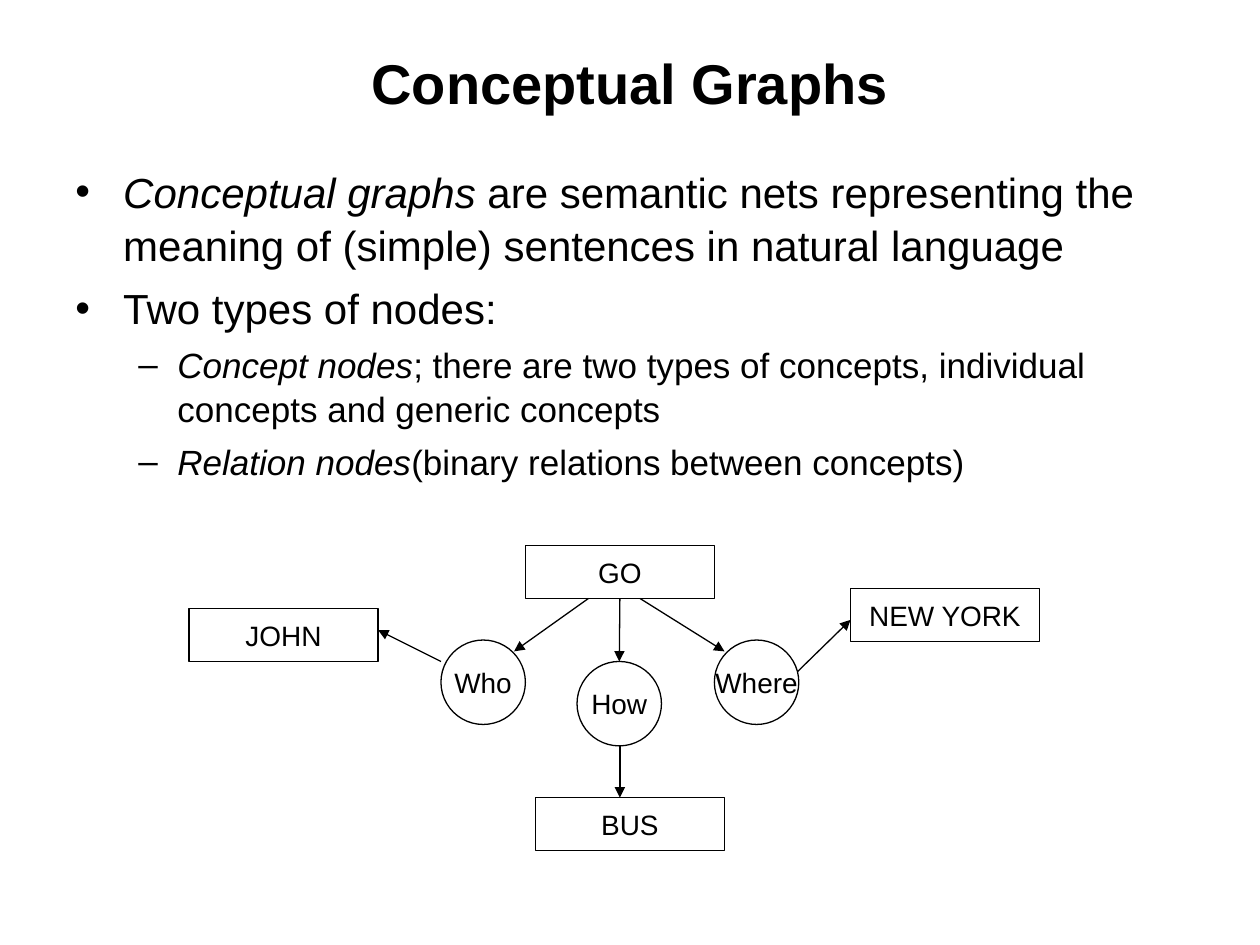
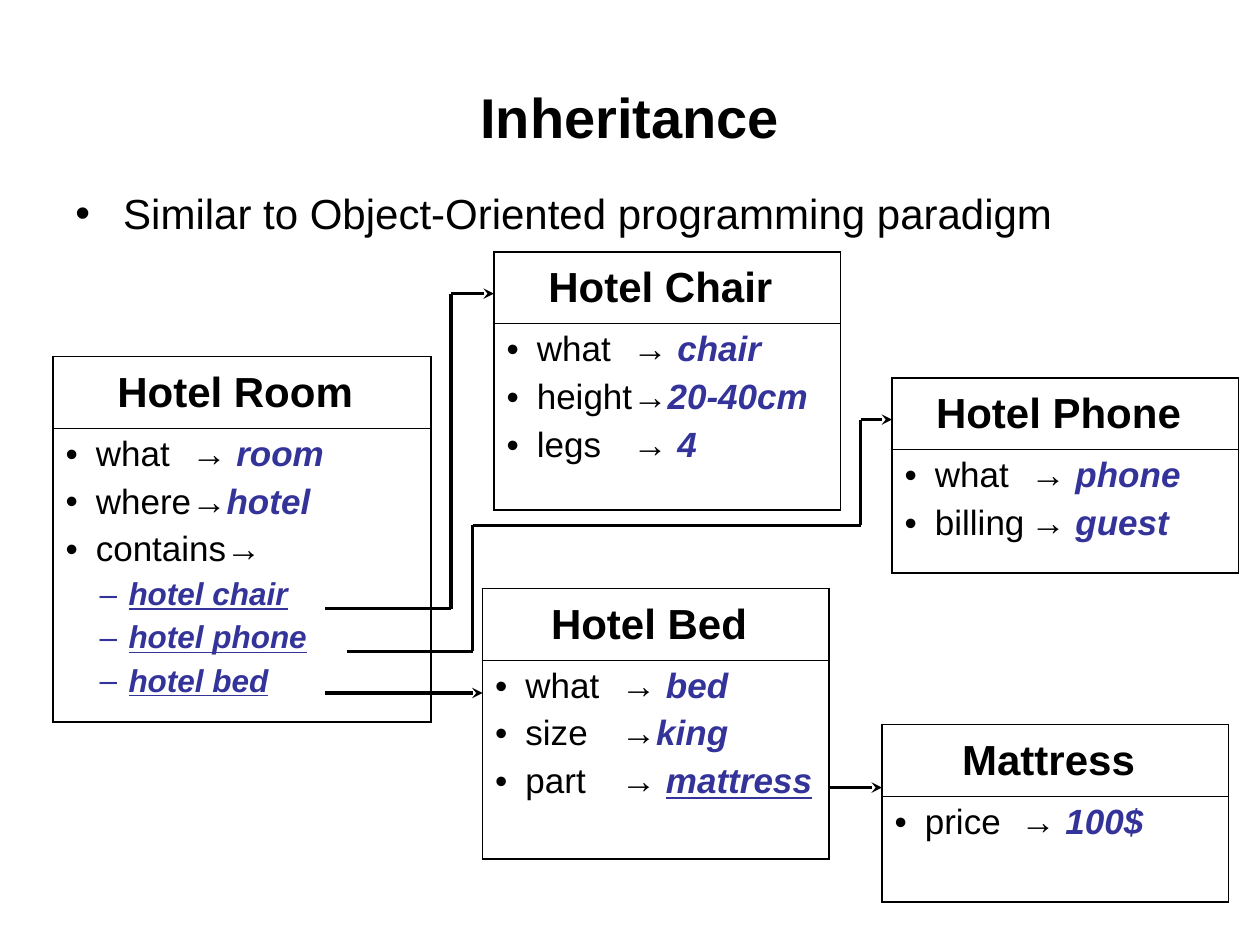
from lxml import etree
from pptx import Presentation
from pptx.dml.color import RGBColor
from pptx.enum.shapes import MSO_CONNECTOR, MSO_SHAPE
from pptx.enum.text import MSO_ANCHOR, PP_ALIGN
from pptx.oxml.ns import qn
from pptx.util import Inches, Pt

BLACK = RGBColor(0x00, 0x00, 0x00)
BLUE = RGBColor(0x33, 0x33, 0x99)
FONT = "Arial"
MIDDLE, TOP = MSO_ANCHOR.MIDDLE, MSO_ANCHOR.TOP
CENTER, LEFT = PP_ALIGN.CENTER, PP_ALIGN.LEFT
RECT, OVAL = MSO_SHAPE.RECTANGLE, MSO_SHAPE.OVAL
STRAIGHT = MSO_CONNECTOR.STRAIGHT

# Each paragraph is (level, runs); run marks are b, i, u and v (value colour).
GRAPHS = [
    (0, [("Conceptual graphs ", "i"),
         ("are semantic nets representing the meaning of (simple) "
          "sentences in natural language", "")]),
    (0, [("Two types of nodes:", "")]),
    (1, [("Concept nodes", "i"),
         ("; there are two types of concepts, individual concepts "
          "and generic concepts", "")]),
    (1, [("Relation nodes", "i"),
         ("(binary relations between concepts)", "")]),
]
PARADIGM = [(0, [("Similar to Object-Oriented programming paradigm", "")])]

CONCEPTS = [("GO", 4.17, 4.33), ("BUS", 4.25, 6.33),
            ("NEW YORK", 6.75, 4.67), ("JOHN", 1.5, 4.83)]
LINKS = [("Who", 3.5, 5.08), ("How", 4.58, 5.25), ("Where", 5.67, 5.08)]
ARROWS = [
    [(5.08, 4.75), (5.75, 5.17)],
    [(4.67, 4.75), (4.08, 5.17)],
    [(4.92, 5.92), (4.92, 6.33)],
    [(6.33, 5.33), (6.75, 4.92)],
    [(3.5, 5.25), (3, 5)],
]

FRAMES = [
    ("Hotel Room", 0.42, 2.83, 3, 2.33,
     [("what", "→ ", "room"), ("where", "→", "hotel"), ("contains→", "", "")],
     ["hotel chair", "hotel phone", "hotel bed"]),
    ("Hotel Chair", 3.92, 2, 2.75, 1.48,
     [("what", "→ ", "chair"), ("height", "→", "20-40cm"),
      ("legs", "→ ", "4")], []),
    ("Hotel Phone", 7.08, 3, 2.75, 0.98,
     [("what", "→ ", "phone"), ("billing", "→ ", "guest")], []),
    ("Hotel Bed", 3.83, 4.67, 2.75, 1.58,
     [("what", "→ ", "bed"), ("size", "→", "king"),
      ("part", "→ ", "mattress")], []),
    ("Mattress", 7, 5.75, 2.75, 0.84, [("price", "→ ", "100$")], []),
]
LINKED = {"mattress"}
PATHS = [
    [(2.58, 4.83), (3.58, 4.83), (3.58, 2.33), (3.92, 2.33)],
    [(2.75, 5.17), (3.75, 5.17), (3.75, 4.17), (6.83, 4.17),
     (6.83, 3.33), (7.08, 3.33)],
    [(2.58, 5.5), (3.83, 5.5)],
    [(6.58, 6.25), (7, 6.25)],
]

HEAD = 0.57
BODY = {"sizes": (24, 20), "gaps": (6, 5), "lead": 1.05,
        "dents": ((0.38, 0.38), (0.81, 0.31))}
SLOTS = {"sizes": (20, 18), "gaps": (5, 4.5), "stop": 1,
         "dents": ((0.24, 0.24), (0.5, 0.23))}


def child(node, tag, **attrs):
    item = etree.SubElement(node, qn(tag))
    for key, val in attrs.items():
        item.set(key, str(val))
    return item


def bullet(para, level, dent, color, stop):
    props = para._p.get_or_add_pPr()
    left, hang = dent
    props.set("marL", str(Inches(left)))
    props.set("indent", str(-Inches(hang)))
    child(child(props, "a:buClr"), "a:srgbClr", val=color)
    child(props, "a:buFont", typeface=FONT)
    child(props, "a:buChar", char="•–"[level])
    if stop:
        child(child(props, "a:tabLst"), "a:tab", pos=Inches(stop), algn="l")


def write(frame, paras, sizes=(16,), gaps=(0,), dents=None, align=LEFT,
          lead=None, stop=None):
    for num, (level, runs) in enumerate(paras):
        para = frame.add_paragraph() if num else frame.paragraphs[0]
        if dents:
            color = BLUE if "v" in runs[0][1] else BLACK
            bullet(para, level, dents[level], color, stop)
        para.level = level
        para.alignment = align
        if lead:
            para.line_spacing = lead
        if num:
            para.space_before = Pt(gaps[level])
        for text, marks, *size in runs:
            run = para.add_run()
            run.text = text
            font = run.font
            font.name = FONT
            font.size = Pt(size[0] if size else sizes[level])
            font.bold = "b" in marks
            font.italic = "i" in marks
            font.underline = "u" in marks
            font.color.rgb = BLUE if "v" in marks else BLACK


def add_box(slide, at, paras, anchor=TOP, **style):
    frame = slide.shapes.add_textbox(*map(Inches, at)).text_frame
    frame.word_wrap = True
    frame.vertical_anchor = anchor
    write(frame, paras, **style)


def add_page(deck, title, tall, at, paras):
    slide = deck.slides.add_slide(deck.slide_layouts[6])
    add_box(slide, (0.5, 0.3, 9, tall), [(0, [(title, "b")])],
            anchor=MIDDLE, sizes=(32,), align=CENTER)
    add_box(slide, at, paras, **BODY)
    return slide


def add_node(slide, kind, text, *at):
    node = slide.shapes.add_shape(kind, *map(Inches, at))
    node.shadow.inherit = False
    node.fill.background()
    node.line.color.rgb = BLACK
    node.line.width = Pt(0.75)
    frame = node.text_frame
    frame.word_wrap = False
    frame.vertical_anchor = MIDDLE
    write(frame, [(0, [(text, "")])], align=CENTER)
    return node


def add_path(slide, points, width, tip):
    for start, end in zip(points, points[1:]):
        line = slide.shapes.add_connector(STRAIGHT, *map(Inches, start + end))
        line.line.color.rgb = BLACK
        line.line.width = Pt(width)
        if end == points[-1]:
            child(line.line._get_or_add_ln(), "a:tailEnd", type=tip)
        child(line._element.spPr, "a:effectLst")
    return line


def edge(cell, thin):
    cell.fill.background()
    props = cell._tc.get_or_add_tcPr()
    for num, side in enumerate("LRTB"):
        width = 0.45 if side == thin else 1.08
        line = child(props, "a:ln" + side, w=Pt(width))
        child(child(line, "a:solidFill"), "a:srgbClr", val=BLACK)
        props.insert(num, line)


def slot(name, arrow, value):
    if not arrow:
        return 0, [(name, "")]
    marks = "biuv" if value in LINKED else "biv"
    return 0, [(name + "\t" + arrow, ""), (value, marks)]


def add_frame(slide, name, left, top, wide, tall, slots, parts):
    at = map(Inches, (left, top, wide, HEAD + tall))
    table = slide.shapes.add_table(2, 1, *at).table
    table.horz_banding = False
    table.rows[0].height = Inches(HEAD)
    table.rows[1].height = Inches(tall)
    head, body = table.cell(0, 0), table.cell(1, 0)
    edge(head, "B")
    edge(body, "T")
    write(head.text_frame, [(0, [(name, "b"), (" ", "b", 28)])],
          sizes=(24,), align=CENTER)
    paras = [slot(*item) for item in slots]
    paras += [(1, [(part, "biuv")]) for part in parts]
    write(body.text_frame, paras, **SLOTS)


def main():
    deck = Presentation()
    deck.slide_width, deck.slide_height = Inches(10), Inches(7.5)

    slide = add_page(deck, "Conceptual Graphs", 0.7,
                     (0.5, 1.25, 9, 2.75), GRAPHS)
    nodes = {text: add_node(slide, RECT, text, left, top, 1.5, 0.42)
             for text, left, top in CONCEPTS}
    for text, left, top in LINKS:
        nodes[text] = add_node(slide, OVAL, text, left, top, 0.67, 0.67)
    how = add_path(slide, [(4.92, 4.75), (4.92, 5.25)], 0.75, "triangle")
    how.begin_connect(nodes["GO"], 2)
    how.end_connect(nodes["How"], 0)
    for points in ARROWS:
        add_path(slide, points, 0.75, "triangle")

    slide = add_page(deck, "Inheritance", 1.25,
                     (0.5, 1.42, 9, 0.67), PARADIGM)
    for item in FRAMES:
        add_frame(slide, *item)
    for points in PATHS:
        add_path(slide, points, 2, "stealth")

    deck.save("out.pptx")


if __name__ == "__main__":
    main()
